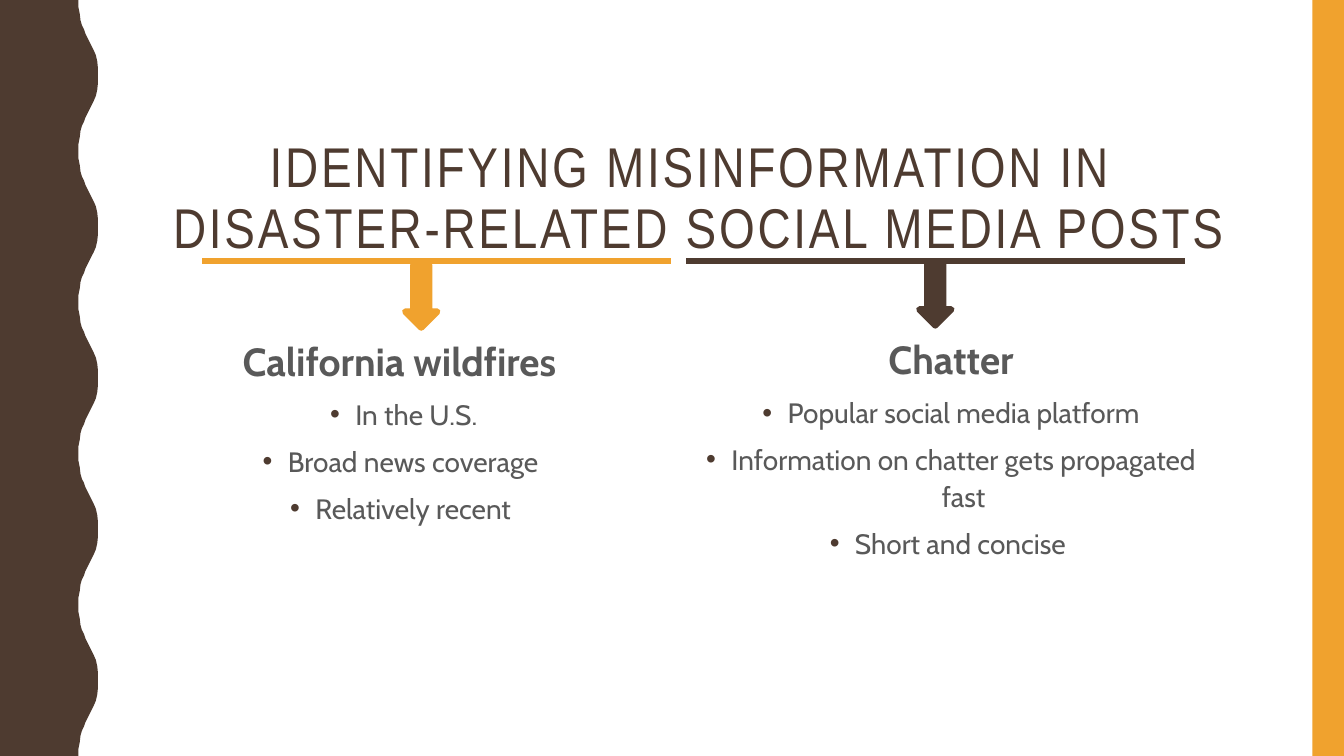
from lxml.etree import SubElement
from pptx import Presentation
from pptx.dml.color import RGBColor
from pptx.enum.shapes import MSO_CONNECTOR, MSO_SHAPE
from pptx.enum.text import MSO_ANCHOR, MSO_AUTO_SIZE, PP_ALIGN
from pptx.oxml.ns import qn
from pptx.util import Pt

BROWN, ORANGE, GRAY = "4E3B30", "F0A22E", "595959"
WIDTH, HEIGHT = 960, 540


def paint(color_format, color):
    """Give a fill or line a solid colour."""
    color_format.solid()
    color_format.fore_color.rgb = RGBColor.from_string(color)


def place(shape, left, top, width, height):
    shape.left, shape.top = Pt(left), Pt(top)
    shape.width, shape.height = Pt(width), Pt(height)
    shape.text_frame.word_wrap = True
    shape.text_frame.auto_size = MSO_AUTO_SIZE.NONE
    shape.text_frame.vertical_anchor = MSO_ANCHOR.TOP


presentation = Presentation()
presentation.slide_width, presentation.slide_height = Pt(WIDTH), Pt(HEIGHT)
slide = presentation.slides.add_slide(presentation.slide_layouts[3])
shapes = slide.shapes

# Wavy left edge: a half wave, mirrored, repeated down the slide
half_wave = [(56, 0), (56, 5), (57, 10), (57.5, 14.5), (58.5, 18),
             (60, 21), (61, 24), (62.5, 27), (64, 30), (65.5, 33),
             (67, 36), (68.5, 39.5), (69.5, 44), (70, 49), (70, 54)]
period = 108
wave = half_wave + [(x, period - y) for x, y in reversed(half_wave[:-1])]
edge = [(x, y + start) for start in range(0, HEIGHT, period) for x, y in wave]
builder = shapes.build_freeform(0, 0, scale=1.0)
builder.add_line_segments(
    [(Pt(x), Pt(y)) for x, y in edge + [(0, HEIGHT)]], close=True)
wavy_band = builder.convert_to_shape()
right_band = shapes.add_shape(
    MSO_SHAPE.RECTANGLE, Pt(937.5), 0, Pt(22.5), Pt(HEIGHT))
for band, color in ((wavy_band, BROWN), (right_band, ORANGE)):
    band.shadow.inherit = False
    paint(band.fill, color)
    band.line.fill.background()

# Title
title = shapes.title
place(title, 98.6, 95.8, 801.4, 117.4)
title.text_frame.text = (
    "IDENTIFYING MISINFORMATION IN \vDISASTER-RELATED SOCIAL MEDIA POSTS")
heading = title.text_frame.paragraphs[0]
heading.alignment = PP_ALIGN.CENTER
heading.line_spacing = 0.9
for run in heading.runs:
    run.font.name = "Arial Narrow"
    run.font.size = Pt(40)
    run.font.color.rgb = RGBColor.from_string(BROWN)
    run.font._element.set("spc", "200")

# Two columns
columns = [
    (99.4, 234, ["California wildfires ", "In the U.S.",
                 "Broad news coverage ", "Relatively recent "]),
    (490.3, 232.6, ["Chatter", "Popular social media platform",
                    "Information on chatter gets propagated fast",
                    "Short and concise "]),
]
for body, (left, top, lines) in zip(list(slide.placeholders)[1:], columns):
    place(body, left, top, 378, 285)
    body.text_frame.text = "\n".join(lines)
    for index, paragraph in enumerate(body.text_frame.paragraphs):
        is_heading = index == 0
        properties = paragraph._p.get_or_add_pPr()
        indent = 0 if is_heading else Pt(18)
        properties.set("marL", str(indent))
        properties.set("indent", str(-indent))
        if is_heading:
            SubElement(properties, qn("a:buNone"))
        else:
            bullet_color = SubElement(properties, qn("a:buClr"))
            SubElement(bullet_color, qn("a:srgbClr"), val=BROWN)
            SubElement(properties, qn("a:buFont"), typeface="Arial")
            SubElement(properties, qn("a:buChar"), char="•")
        paragraph.alignment = PP_ALIGN.CENTER
        paragraph.line_spacing = 1.1
        paragraph.space_before = Pt(0 if is_heading else 7)
        font = paragraph.runs[0].font
        font.name = "Cabin"
        font.size = Pt(28 if is_heading else 20)
        font.bold = is_heading
        font.color.rgb = RGBColor.from_string(GRAY)

# Underlines, each with an arrow down to its column
underline_y = 186.5
for start, end, arrow_left, arrow_top, color in (
        (144.5, 479, 289.4, 189.4, ORANGE),
        (490.3, 846.5, 656.6, 187.9, BROWN)):
    underline = shapes.add_connector(
        MSO_CONNECTOR.STRAIGHT, Pt(start), Pt(underline_y),
        Pt(end), Pt(underline_y))
    SubElement(underline._element.spPr, qn("a:effectLst"))
    arrow = shapes.add_shape(
        MSO_SHAPE.DOWN_ARROW, Pt(arrow_left), Pt(arrow_top), Pt(23), Pt(44.6))
    arrow.shadow.inherit = False
    paint(arrow.fill, color)
    for outlined in (underline, arrow):
        paint(outlined.line.fill, color)
        outlined.line.width = Pt(4.5)
    SubElement(arrow.line._get_or_add_ln(), qn("a:round"))

presentation.save("out.pptx")
